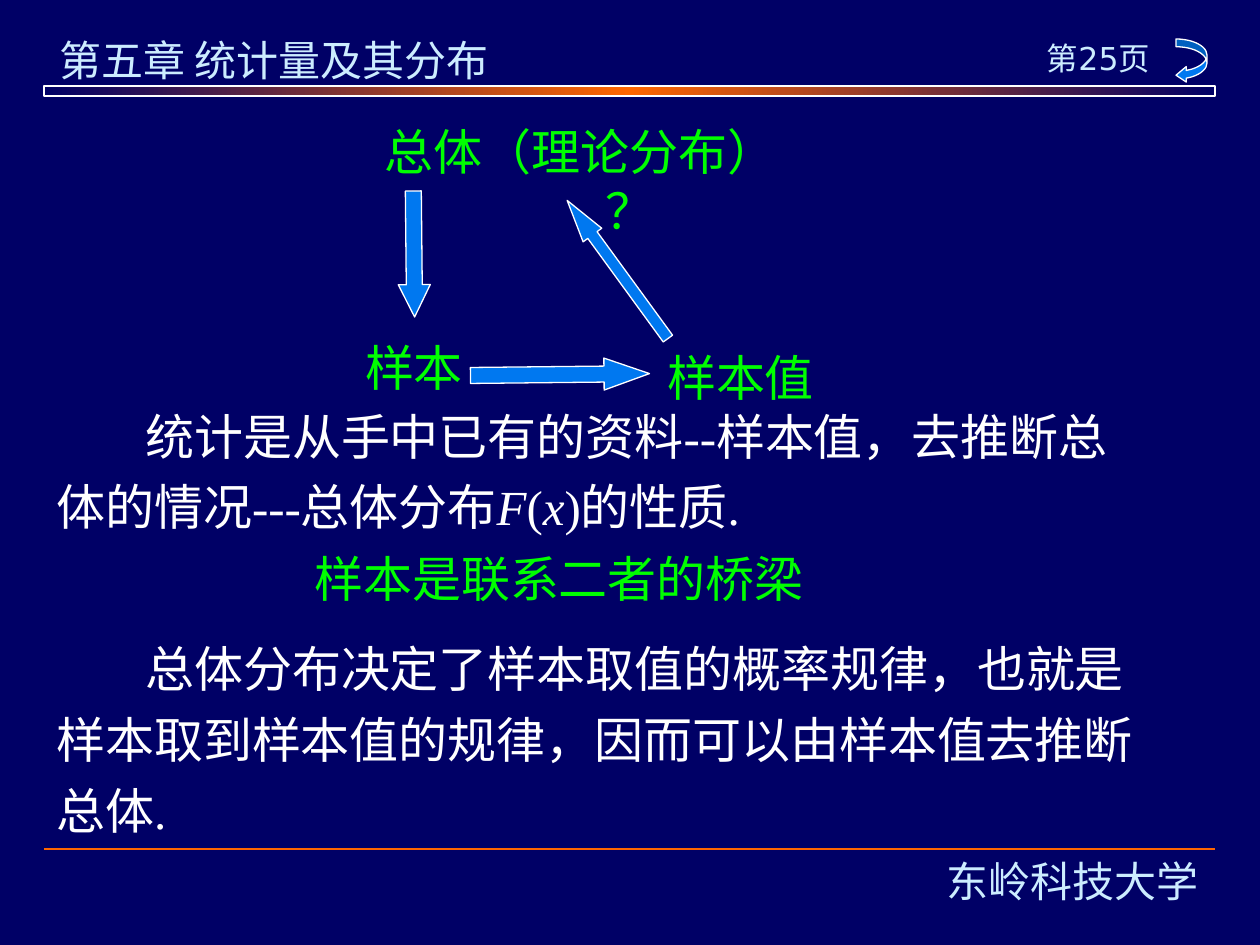
from copy import deepcopy

from pptx import Presentation
from pptx.dml.color import RGBColor
from pptx.enum.shapes import MSO_CONNECTOR, MSO_SHAPE as Shape
from pptx.enum.text import MSO_ANCHOR as Anchor, MSO_AUTO_SIZE as AutoSize, PP_ALIGN as Align
from pptx.oxml.ns import qn
from pptx.util import Pt
from lxml.etree import SubElement

PX = 914400 / 126
COLORS = {"navy": "000066", "orange": "FF6600", "white": "FFFFFF",
          "pale": "CCECFF", "green": "00FF00", "blue": "0078F0"}
SERIF = "Times New Roman"
CJK = "Noto Sans CJK SC"


def px(length):
    return round(length * PX)


def color(name):
    return RGBColor.from_string(COLORS[name])


def place(origin, x, y, width, height):
    """Turn a box relative to origin into EMU."""
    return px(origin[0] + x), px(origin[1] + y), px(width), px(height)


def style(para, size, font_name, ink, align):
    para.alignment = align
    font = para.font
    font.size, font.name, font.bold = Pt(size), font_name, False
    font.color.rgb = color(ink)
    SubElement(para._p.pPr.find(qn("a:defRPr")), qn("a:ea"), typeface=CJK)


def set_text(shape, lines, size=28, font_name=SERIF, ink="green",
             align=Align.CENTER, anchor=Anchor.MIDDLE, wrap=True):
    """Each line is a list of (text, italic) spans."""
    frame = shape.text_frame
    frame.word_wrap = wrap
    frame.auto_size = AutoSize.NONE if wrap else AutoSize.SHAPE_TO_FIT_TEXT
    frame.vertical_anchor = anchor
    for number, spans in enumerate(lines):
        para = frame.add_paragraph() if number else frame.paragraphs[0]
        style(para, size, font_name, ink, align)
        for text, italic in spans:
            span = para.add_run()
            span.text = text
            if italic:
                span.font.italic = True
    return frame.paragraphs


def add_text(page, box, *lines, **look):
    return set_text(page.shapes.add_textbox(*box),
                    [[(line, False)] if isinstance(line, str) else line
                     for line in lines], **look)


def add_solid(page, kind, box, adjustments, rotation=0):
    shape = page.shapes.add_shape(kind, *box)
    shape.shadow.inherit = False
    shape.rotation = rotation
    for index, value in enumerate(adjustments):
        shape.adjustments[index] = value
    shape.fill.solid()
    shape.fill.fore_color.rgb = color("blue")
    shape.line.color.rgb = color("white")
    shape.line.width = Pt(0.75)


def add_header(page, origin):
    title = page.shapes.title
    title.left, title.top, title.width, title.height = place(origin, 3, 8, 486, 63)
    set_text(title, [[("第五章 统计量及其分布", False)]], size=24,
             font_name="Comic Neue", ink="pale", align=Align.LEFT,
             anchor=Anchor.TOP)

    bar = page.shapes.add_shape(Shape.RECTANGLE, *place(origin, 0, 66, 1171, 10))
    bar.shadow.inherit = False
    bar.line.color.rgb = color("white")
    bar.line.width = Pt(0.75)
    bar.fill.gradient()
    bar.fill.gradient_angle = 0
    first = bar.fill._xPr.find(qn("a:gradFill")).find(qn("a:gsLst"))[0]
    first.addnext(deepcopy(first))
    for stop, name, position in zip(bar.fill.gradient_stops,
                                    ("navy", "orange", "navy"), (0, 0.5, 1)):
        stop.color.rgb = color(name)
        stop.position = position

    add_text(page, place(origin, 977, 13, 155, 96), "第25页", size=18,
             font_name="DejaVu Sans", ink="pale", anchor=Anchor.TOP)
    add_solid(page, Shape.CURVED_LEFT_ARROW, place(origin, 1132, 19, 31, 44),
              (0.25, 0.5, 0.33))


def add_cycle(page, origin):
    """Population, sample and sample values, joined by arrows."""
    heading = add_text(page, place(origin, 0, 0, 587, 131),
                       "总体（理论分布）", "？", font_name=CJK)
    heading[1]._p.pPr.set("marL", str(px(98)))
    add_text(page, place(origin, 62, 216, 130, 72), "样本", wrap=False)
    add_text(page, place(origin, 362, 226, 183, 72), "样本值", wrap=False)
    for box, head, rotation in (((257, 170, 32, 179), 1.42, 269.4),
                                ((111, 76, 32, 126), 1.01, 359.4),
                                ((319, 69, 23, 171), 1.86, 143.9)):
        add_solid(page, Shape.DOWN_ARROW, place(origin, *box), (0.5, head), rotation)


def add_explanation(page, origin):
    statements = (
        ((0, 0, 1085, 154),
         [("统计是从手中已有的资料--样本值，去推断总体的情况---总体分布", False),
          ("F", True), ("(", False), ("x", True), (")的性质.", False)]),
        ((0, 233, 1134, 224),
         "总体分布决定了样本取值的概率规律，也就是样本取到样本值的规律，"
         "因而可以由样本值去推断总体."),
    )
    for box, words in statements:
        para = add_text(page, place(origin, *box), words, ink="white",
                        align=Align.LEFT)[0]
        para.line_spacing = 1.2
        para._p.pPr.set("indent", str(px(89)))
    add_text(page, place(origin, 250, 154, 530, 72), "样本是联系二者的桥梁", wrap=False)


def add_footer(page, origin):
    left, top, width, _ = place(origin, 0, 0, 1171, 0)
    rule = page.shapes.add_connector(MSO_CONNECTOR.STRAIGHT, left, top, left + width, top)
    rule.line.color.rgb = color("orange")
    rule.line.width = Pt(1)
    SubElement(rule._element.spPr, qn("a:effectLst"))
    add_text(page, place(origin, 872, 0, 314, 113), "东岭科技大学", size=24,
             font_name="Karla", ink="pale", anchor=Anchor.TOP)


def main():
    deck = Presentation()
    deck.slide_width, deck.slide_height = px(1260), px(945)
    page = deck.slides.add_slide(deck.slide_layouts[5])
    page.background.fill.solid()
    page.background.fill.fore_color.rgb = color("navy")
    add_header(page, (44, 20))
    add_cycle(page, (287, 115))
    add_explanation(page, (44, 388))
    add_footer(page, (44, 849))
    deck.save("out.pptx")


if __name__ == "__main__":
    main()
